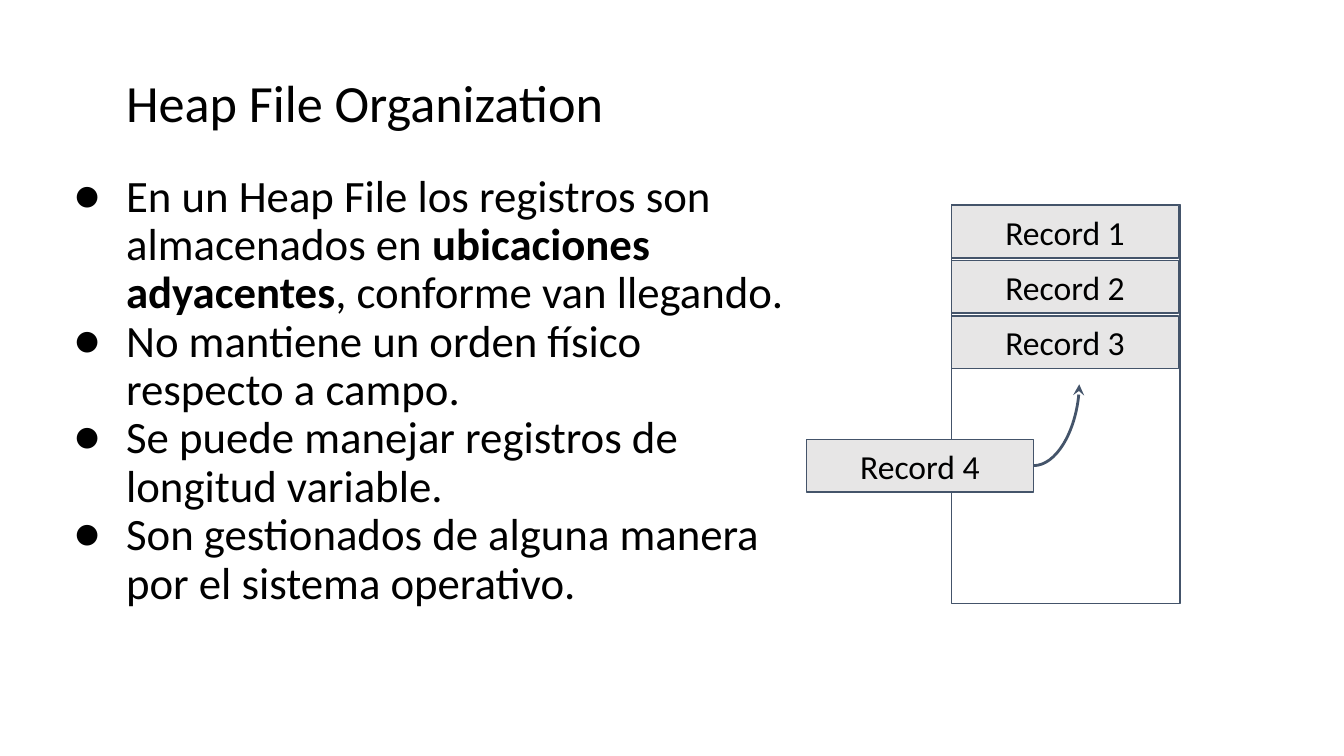
from lxml.etree import SubElement
from pptx import Presentation
from pptx.dml.color import RGBColor
from pptx.enum.shapes import MSO_CONNECTOR as Connector, MSO_SHAPE as Shape
from pptx.enum.text import MSO_ANCHOR as Anchor, PP_ALIGN as Align
from pptx.oxml.ns import qn
from pptx.util import Inches, Pt

TITLE = "Heap File Organization"
BULLETS = [
    [("En un Heap File los registros son almacenados en ", False),
     ("ubicaciones adyacentes", True),
     (", conforme van llegando.", False)],
    [("No mantiene un orden físico respecto a campo.", False)],
    [("Se puede manejar registros de longitud variable.", False)],
    [("Son gestionados de alguna manera por el sistema operativo.", False)],
]
STORED = ["Record 1", "Record 2", "Record 3"]
INCOMING = "Record 4"

FONT = "Calibri"
BLACK = RGBColor(0x00, 0x00, 0x00)
SLATE = RGBColor(0x44, 0x54, 0x6A)
GRAY = RGBColor(0xE7, 0xE6, 0xE6)

HEAP_LEFT, HEAP_TOP = 7.08, 1.52
RECORD_WIDTH, RECORD_HEIGHT, RECORD_PITCH = 1.69, 0.39, 0.41
INCOMING_LEFT, INCOMING_TOP = 6, 3.27


def set_margins(frame):
    frame.word_wrap = True
    frame.margin_left = frame.margin_right = Inches(0.1)
    frame.margin_top = frame.margin_bottom = Inches(0.1)


def set_font(para, size):
    para.font.name = FONT
    para.font.size = Pt(size)
    para.font.color.rgb = BLACK


def add_bullet(properties, character):
    defaults = properties.find(qn("a:defRPr"))
    for tag, name, value in (("a:buFont", "typeface", FONT), ("a:buChar", "char", character)):
        mark = SubElement(properties, qn(tag))
        mark.set(name, value)
        defaults.addprevious(mark)


def add_text(page, left, top, width, height, items, size, spacing, bullet=None):
    box = page.shapes.add_textbox(Inches(left), Inches(top), Inches(width), Inches(height))
    frame = box.text_frame
    set_margins(frame)
    for index, spans in enumerate(items):
        para = frame.add_paragraph() if index else frame.paragraphs[0]
        set_font(para, size)
        para.line_spacing = spacing
        properties = para._p.get_or_add_pPr()
        properties.set("marL", str(Inches(0.5)))
        properties.set("indent", str(Inches(-0.39) if bullet else 0))
        if bullet:
            add_bullet(properties, bullet)
        for text, bold in spans:
            span = para.add_run()
            span.text = text
            span.font.bold = bold


def add_rectangle(page, left, top, width, height, fill=None, text=None):
    box = page.shapes.add_shape(
        Shape.RECTANGLE, Inches(left), Inches(top), Inches(width), Inches(height))
    box.shadow.inherit = False
    box.line.color.rgb = SLATE
    box.line.width = Pt(0.75)
    if fill is None:
        box.fill.background()
    else:
        box.fill.solid()
        box.fill.fore_color.rgb = fill
    if text:
        set_margins(box.text_frame)
        box.text_frame.vertical_anchor = Anchor.MIDDLE
        para = box.text_frame.paragraphs[0]
        para.text = text
        para.alignment = Align.CENTER
        set_font(para, 18)


def add_curved_arrow(page, start, end):
    arrow = page.shapes.add_connector(
        Connector.CURVE, *(Inches(value) for value in start + end))
    arrow.line.color.rgb = SLATE
    arrow.line.width = Pt(1.5)
    properties = arrow._element.spPr
    properties.find(qn("a:prstGeom")).set("prst", "curvedConnector2")
    SubElement(properties.find(qn("a:ln")), qn("a:tailEnd")).set("type", "stealth")
    SubElement(properties, qn("a:effectLst"))


def main():
    deck = Presentation()
    deck.slide_width = Inches(10)
    deck.slide_height = deck.slide_width * 9 // 16
    page = deck.slides.add_slide(deck.slide_layouts[6])

    add_text(page, 0.34, 0.19, 9.32, 0.72, [[(TITLE, False)]], 28, 1.5)
    add_text(page, 0.34, 1.19, 5.77, 4.29, BULLETS, 24, 0.9, "●")

    add_rectangle(page, HEAP_LEFT, HEAP_TOP, 1.7, 2.97)
    records = [(HEAP_LEFT, HEAP_TOP + 0.01 + row * RECORD_PITCH, name)
               for row, name in enumerate(STORED)]
    records.append((INCOMING_LEFT, INCOMING_TOP, INCOMING))
    for left, top, name in records:
        add_rectangle(page, left, top, RECORD_WIDTH, RECORD_HEIGHT, GRAY, name)

    start = (INCOMING_LEFT + RECORD_WIDTH, INCOMING_TOP + RECORD_HEIGHT / 2)
    add_curved_arrow(page, start, (8.03, 2.86))

    deck.save("out.pptx")


if __name__ == "__main__":
    main()
